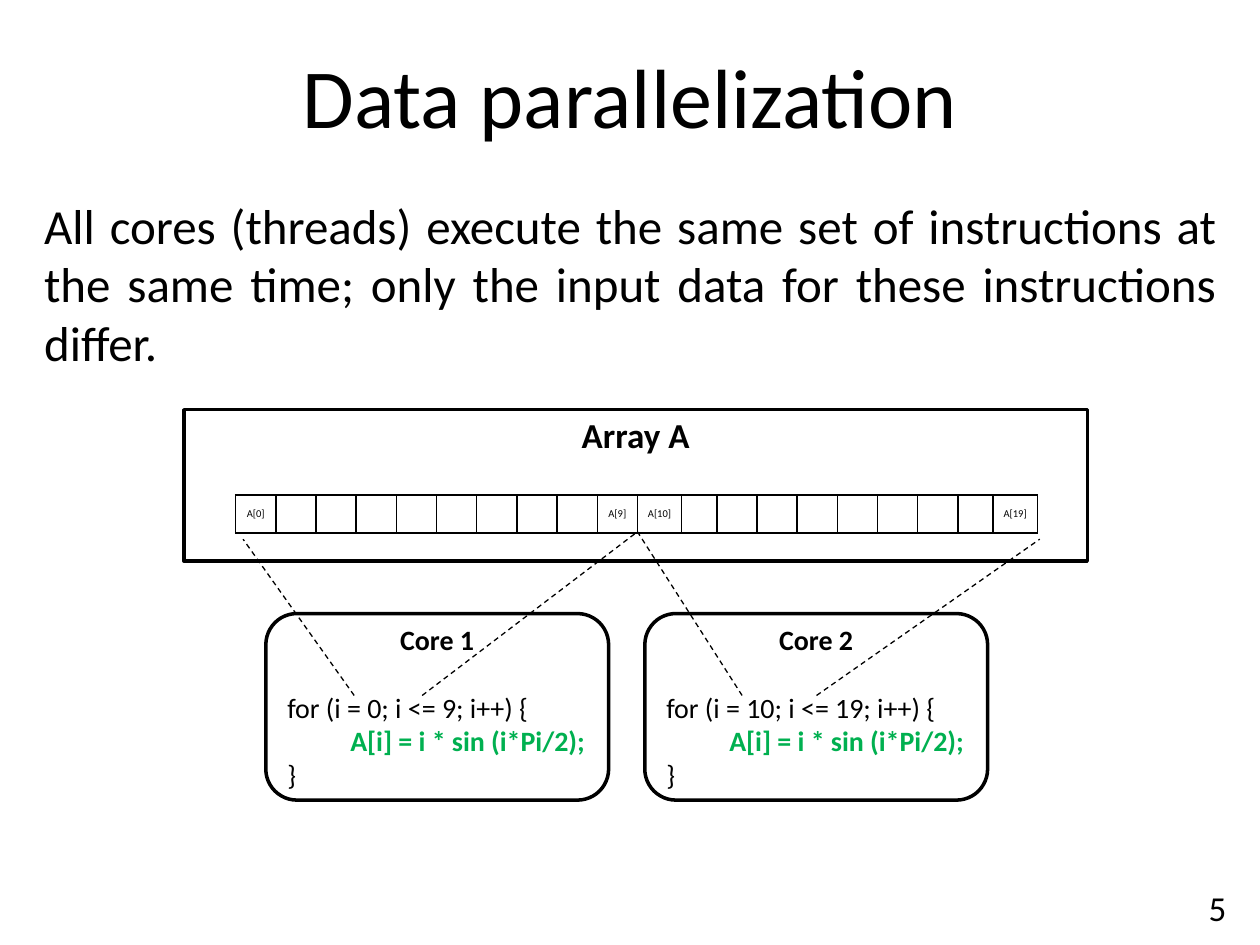
from dataclasses import dataclass

from lxml.etree import SubElement
from pptx import Presentation
from pptx.dml.color import RGBColor
from pptx.enum.dml import MSO_LINE
from pptx.enum.shapes import MSO_CONNECTOR, MSO_SHAPE
from pptx.enum.text import MSO_ANCHOR as Anchor, PP_ALIGN as Align
from pptx.oxml.ns import qn
from pptx.util import Cm, Pt


@dataclass(frozen=True)
class Theme:
    font: str = "Calibri"
    ink: RGBColor = RGBColor(0, 0, 0)
    paper: RGBColor = RGBColor(255, 255, 255)
    accent: RGBColor = RGBColor(0x00, 0xB0, 0x50)
    title: int = 48
    body: int = 28
    label: int = 20
    code: int = 16
    cell: int = 6


T = Theme()


def style(p, size, align=Align.LEFT, bold=False, color=T.ink):
    p.alignment = align
    f = p.font
    f.name, f.size, f.bold = T.font, Pt(size), bold
    f.color.rgb = color


def box(x, y, w, h):
    return Cm(x), Cm(y), Cm(w), Cm(h)


def add_text(s, place, text, size, align, anchor=Anchor.TOP):
    tf = s.shapes.add_textbox(*box(*place)).text_frame
    tf.word_wrap = True
    tf.vertical_anchor = anchor
    p = tf.paragraphs[0]
    p.text = text
    style(p, size, align)
    return p


def add_panel(s, kind, place):
    sp = s.shapes.add_shape(kind, *box(*place))
    sp.shadow.inherit = False
    sp.fill.solid()
    sp.fill.fore_color.rgb = T.paper
    sp.line.color.rgb = T.ink
    sp.line.width = Pt(2)
    sp.text_frame.word_wrap = True
    return sp.text_frame


def add_core(s, x, name, first, last):
    tf = add_panel(s, MSO_SHAPE.ROUNDED_RECTANGLE, (x, 12.37, 6.91, 3.76))
    tf.vertical_anchor = Anchor.MIDDLE
    tf.text = "\n".join([name, f"for (i = {first}; i <= {last}; i++) {{",
                         "A[i] = i * sin (i*Pi/2);", "}"])
    heading, loop, work, end = tf.paragraphs
    style(heading, T.code, Align.CENTER, bold=True)
    heading.space_after = Pt(19.5)
    style(loop, T.code)
    style(work, T.code, bold=True, color=T.accent)
    work.level = 1
    pPr = work._p.get_or_add_pPr()
    pPr.set("marL", str(Cm(1.27)))
    pPr.set("indent", "0")
    style(end, T.code)


def border_cell(cell):
    tcPr = cell._tc.get_or_add_tcPr()
    for i, side in enumerate(("a:lnL", "a:lnR", "a:lnT", "a:lnB")):
        ln = SubElement(tcPr, qn(side), w=str(Pt(1)))
        fill = SubElement(ln, qn("a:solidFill"))
        SubElement(fill, qn("a:srgbClr"), val=str(T.ink))
        tcPr.insert(i, ln)


def add_array(s, place, labels, widths):
    table = s.shapes.add_table(1, len(widths), *box(*place)).table
    table.first_row = table.horz_banding = False
    table.rows[0].height = Cm(place[3])
    for i, width in enumerate(widths):
        table.columns[i].width = Cm(width)
        cell = table.cell(0, i)
        cell.fill.solid()
        cell.fill.fore_color.rgb = T.paper
        cell.vertical_anchor = Anchor.MIDDLE
        cell.margin_left = cell.margin_right = Cm(0.18)
        cell.margin_top = cell.margin_bottom = Cm(0.1)
        p = cell.text_frame.paragraphs[0]
        if i in labels:
            p.text = f"A[{i}]"
        style(p, T.cell, Align.CENTER)
        # An empty cell takes its line height from the end mark
        p._p.get_or_add_endParaRPr().set("sz", str(T.cell * 100))
        border_cell(cell)


def add_dashed(s, start, end):
    c = s.shapes.add_connector(MSO_CONNECTOR.STRAIGHT,
                               *(Cm(v) for v in start + end))
    c.line.color.rgb = T.ink
    c.line.width = Pt(0.75)
    c.line.dash_style = MSO_LINE.DASH
    SubElement(c._element.spPr, qn("a:effectLst"))


def main():
    prs = Presentation()
    prs.slide_width, prs.slide_height = Cm(25.4), Cm(19.05)
    s = prs.slides.add_slide(prs.slide_layouts[5])

    # Title and definition
    title = s.shapes.title
    title.left, title.top, title.width, title.height = box(0, 0, 25.4, 3.81)
    title.text_frame.text = "Data parallelization"
    title.text_frame.vertical_anchor = Anchor.MIDDLE
    style(title.text_frame.paragraphs[0], T.title, Align.CENTER)
    p = add_text(s, (0.64, 3.81, 24.13, 3.05),
                 "All cores (threads) execute the same set of instructions at "
                 "the same time; only the input data for these instructions "
                 "differ.", T.body, Align.JUSTIFY)
    p.space_before = Pt(5.6)

    # Cores
    add_core(s, 5.36, "Core 1", 0, 9)
    add_core(s, 13, "Core 2", 10, 19)

    # Array with its cells
    tf = add_panel(s, MSO_SHAPE.RECTANGLE, (3.71, 8.26, 18.21, 3.05))
    tf.vertical_anchor = Anchor.TOP
    tf.margin_left = tf.margin_right = Cm(0.08)
    tf.margin_top = tf.margin_bottom = Cm(0.08)
    tf.text = "Array A"
    style(tf.paragraphs[0], T.label, Align.CENTER, bold=True)
    widths = [0.81] * 10 + [0.89, 0.71] + [0.81] * 6 + [0.71, 0.89]
    add_array(s, (4.75, 9.98, sum(widths), 0.76), {0, 9, 10, 19}, widths)

    # Loop bounds to the ends of each half of the array
    middle = (12.85, 10.72)
    for x, end in ((7.14, (4.9, 10.87)), (8.51, middle),
                   (14.96, middle), (16.46, (20.96, 10.87))):
        add_dashed(s, (x, 14.02), end)

    # Slide number
    add_text(s, (19.05, 17.78, 5.92, 1.02), "5", T.label, Align.RIGHT,
             Anchor.MIDDLE)

    prs.save("out.pptx")


if __name__ == "__main__":
    main()
